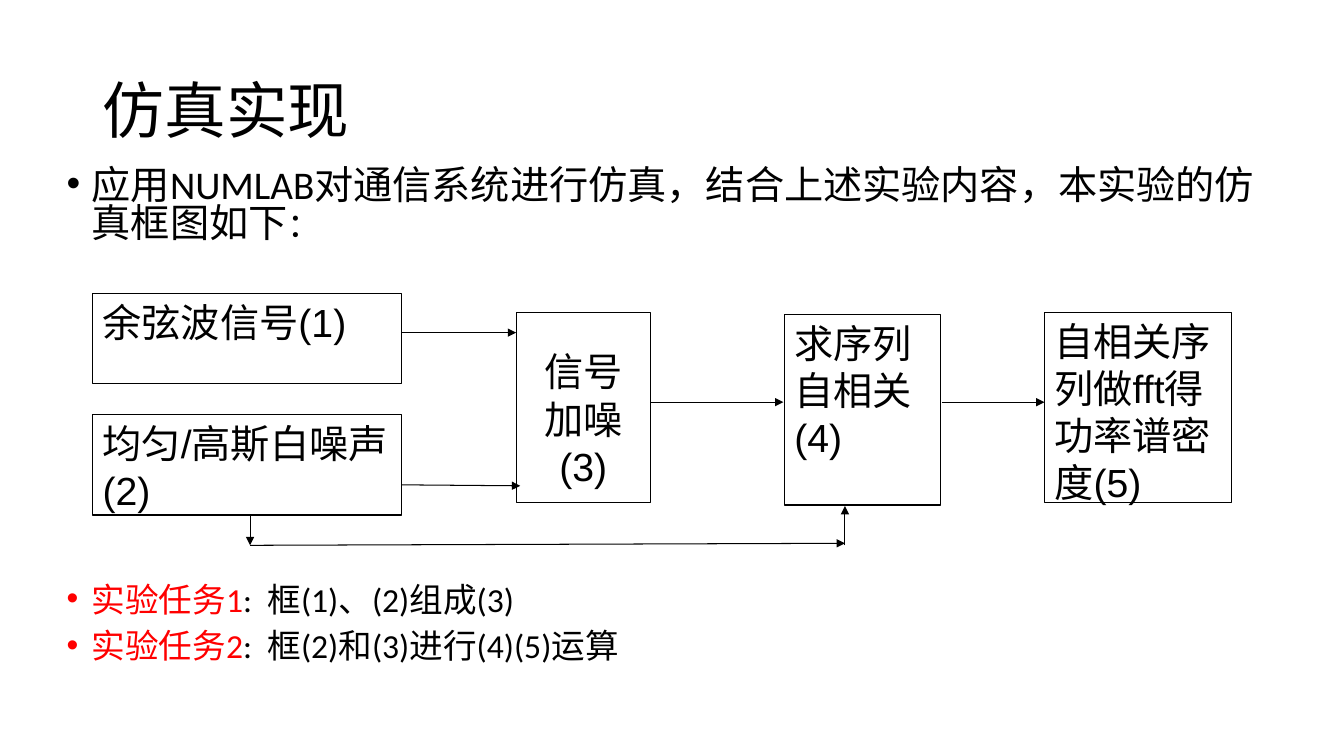
from dataclasses import dataclass

from lxml import etree
from pptx import Presentation
from pptx.dml.color import RGBColor
from pptx.enum.shapes import MSO_CONNECTOR, MSO_SHAPE
from pptx.enum.text import MSO_ANCHOR, MSO_AUTO_SIZE, PP_ALIGN
from pptx.oxml.ns import qn
from pptx.util import Inches, Pt


@dataclass(frozen=True)
class Theme:
    black: RGBColor = RGBColor(0, 0, 0)
    white: RGBColor = RGBColor(255, 255, 255)
    red: RGBColor = RGBColor(255, 0, 0)
    heading_font: str = "Calibri"
    box_font: str = "Arial"
    title_size: int = 44
    lead_size: int = 28
    task_size: int = 24
    line_width: float = 0.75


THEME = Theme()

LEAD = "应用NUMLAB对通信系统进行仿真，结合上述实验内容，本实验的仿真框图如下"
TASKS = [
    ("实验任务1", ":  框(1)、(2)组成(3)"),
    ("实验任务2", ":  框(2)和(3)进行(4)(5)运算"),
]
DIAGRAM_GAP = 244  # points left free for the diagram between lead and tasks

# text, left, top, width, height
BOXES = [
    ("余弦波信号(1)", 0.92, 2.91, 3.06, 0.9),
    ("均匀/高斯白噪声(2)", 0.92, 4.11, 3.06, 1),
    ("求序列自相关(4)", 7.78, 3.12, 1.55, 1.89),
    ("自相关序列做fft得功率谱密度(5)", 10.36, 3.1, 1.86, 1.89),
]
MIXER_BOX = ("信号加噪(3)", 5.12, 3.1, 1.33, 1.89)

# start x, start y, end x, end y
ARROWS = [
    (3.98, 3.3, 5.12, 3.3),
    (3.98, 4.81, 5.16, 4.82),
    (6.46, 3.99, 7.77, 3.99),
    (9.34, 3.99, 10.36, 3.99),
    (2.48, 5.11, 2.48, 5.41),
    (2.48, 5.41, 8.38, 5.39),
    (8.38, 5.41, 8.38, 5.02),
]


def place(shape, left, top, width, height):
    shape.left, shape.top = Inches(left), Inches(top)
    shape.width, shape.height = Inches(width), Inches(height)


def format_run(run, size, font, color=THEME.black):
    run.font.size = Pt(size)
    run.font.name = font
    run.font.color.rgb = color


def fill_title(title, text):
    place(title, 0.92, 0.4, 11.5, 1.45)
    frame = title.text_frame
    frame.text = text
    frame.vertical_anchor = MSO_ANCHOR.MIDDLE
    frame.auto_size = MSO_AUTO_SIZE.NONE
    paragraph = frame.paragraphs[0]
    paragraph.alignment = PP_ALIGN.LEFT
    paragraph.line_spacing = 0.9
    format_run(paragraph.runs[0], THEME.title_size, THEME.heading_font)


def fill_bullet(paragraph, parts, space_before=10):
    """Write one bulleted paragraph from (text, size, color) parts."""
    paragraph.line_spacing = 0.8
    paragraph.space_before = Pt(space_before)
    properties = paragraph._p.get_or_add_pPr()
    properties.set("marL", str(Inches(0.25)))
    properties.set("indent", str(-Inches(0.25)))
    etree.SubElement(properties, qn("a:buFont")).set("typeface", "Arial")
    etree.SubElement(properties, qn("a:buChar")).set("char", "•")
    for text, size, color in parts:
        run = paragraph.add_run()
        run.text = text
        format_run(run, size, THEME.heading_font, color)


def fill_body(body):
    place(body, 0.56, 1.63, 12.21, 5.41)
    frame = body.text_frame
    frame.auto_size = MSO_AUTO_SIZE.NONE
    fill_bullet(frame.paragraphs[0], [
        (LEAD, THEME.lead_size, THEME.black),
        ("：", THEME.task_size, THEME.black),
    ])
    for index, (label, detail) in enumerate(TASKS):
        fill_bullet(frame.add_paragraph(), [
            (label, THEME.task_size, THEME.red),
            (detail, THEME.task_size, THEME.black),
        ], space_before=10 if index else DIAGRAM_GAP)


def add_box(slide, text, left, top, width, height,
            alignment=PP_ALIGN.LEFT, top_margin=0.05):
    box = slide.shapes.add_shape(
        MSO_SHAPE.RECTANGLE,
        Inches(left), Inches(top), Inches(width), Inches(height))
    box.shadow.inherit = False
    box.fill.solid()
    box.fill.fore_color.rgb = THEME.white
    box.line.color.rgb = THEME.black
    box.line.width = Pt(THEME.line_width)
    frame = box.text_frame
    frame.text = text
    frame.word_wrap = True
    frame.vertical_anchor = MSO_ANCHOR.TOP
    frame.margin_top = Inches(top_margin)
    paragraph = frame.paragraphs[0]
    paragraph.alignment = alignment
    format_run(paragraph.runs[0], THEME.lead_size, THEME.box_font)


def add_arrow(slide, start_x, start_y, end_x, end_y):
    arrow = slide.shapes.add_connector(
        MSO_CONNECTOR.STRAIGHT,
        Inches(start_x), Inches(start_y), Inches(end_x), Inches(end_y))
    arrow.line.color.rgb = THEME.black
    arrow.line.width = Pt(THEME.line_width)
    line = arrow.line._get_or_add_ln()
    etree.SubElement(line, qn("a:tailEnd")).set("type", "triangle")
    etree.SubElement(arrow._element.spPr, qn("a:effectLst"))


def main():
    presentation = Presentation()
    presentation.slide_width = Inches(13.33)
    presentation.slide_height = Inches(7.5)
    slide = presentation.slides.add_slide(presentation.slide_layouts[1])
    fill_title(slide.shapes.title, "仿真实现")
    fill_body(slide.placeholders[1])
    for box in BOXES:
        add_box(slide, *box)
    add_box(slide, *MIXER_BOX, alignment=PP_ALIGN.CENTER, top_margin=0.35)
    for arrow in ARROWS:
        add_arrow(slide, *arrow)
    presentation.save("out.pptx")


if __name__ == "__main__":
    main()
